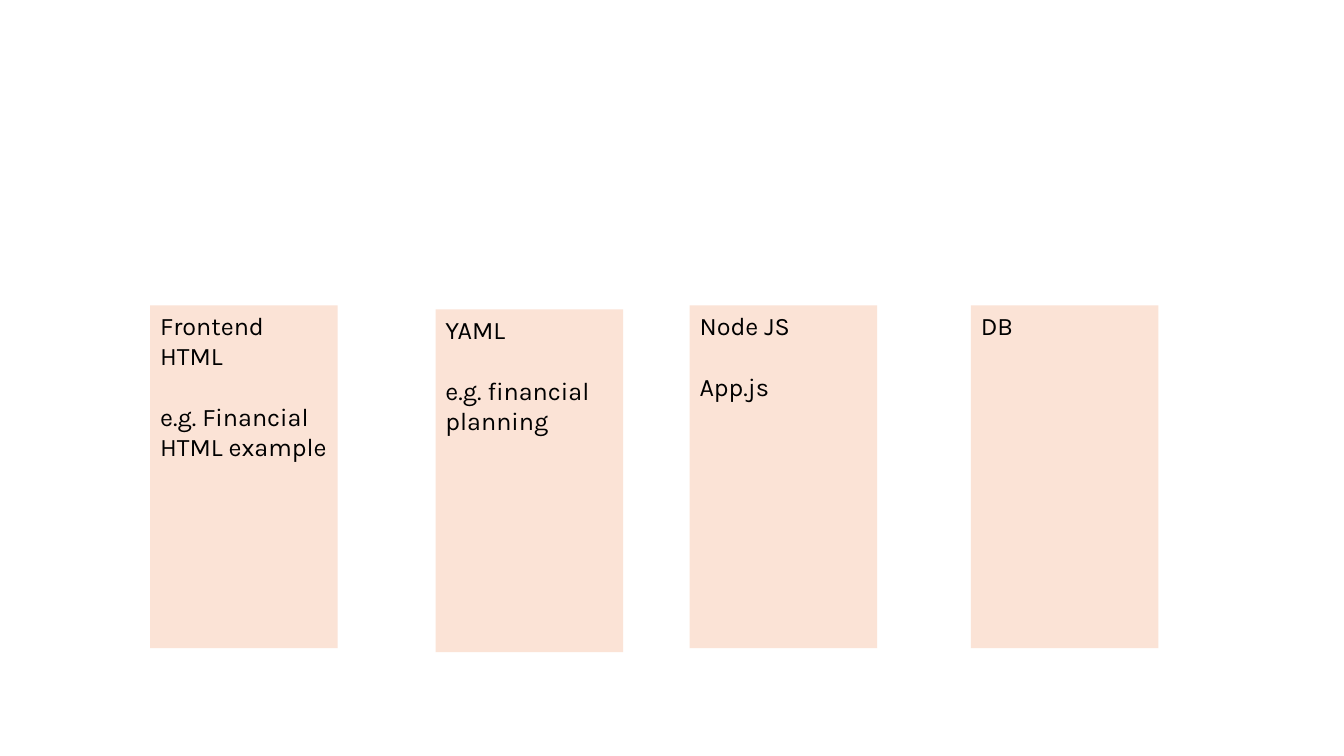
import pptx
import pptx.dml.color
import pptx.enum.shapes
import pptx.enum.text
import pptx.util

PX = 9144  # EMU per px, 100 px to the inch
COLORS = {"box": "FBE3D6", "text": "000000"}
FONT = {"name": "Karla", "size": pptx.util.Pt(18)}
FRAME = {"word_wrap": True, "vertical_anchor": pptx.enum.text.MSO_ANCHOR.TOP}
BOX_W, BOX_H = 186, 340
PARAGRAPH_GAP = pptx.util.Pt(21.6)  # one text line

# Left, top, paragraphs of each layer
LAYERS = [
    (149, 303, ["Frontend HTML", "e.g. Financial HTML example"]),
    (432, 307, ["YAML", "e.g. financial planning"]),
    (684, 303, ["Node JS", "App.js"]),
    (963, 303, ["DB"]),
]


def rgb(name):
    return pptx.dml.color.RGBColor.from_string(COLORS[name])


# Slide
prs = pptx.Presentation()
prs.slide_width, prs.slide_height = 1333 * PX, 750 * PX
s = prs.slides.add_slide(prs.slide_layouts[6])

# Layer boxes
for left, top, lines in LAYERS:
    sp = s.shapes.add_shape(pptx.enum.shapes.MSO_SHAPE.RECTANGLE,
                            left * PX, top * PX, BOX_W * PX, BOX_H * PX)
    sp.shadow.inherit = False
    sp.fill.solid()
    sp.fill.fore_color.rgb = rgb("box")
    sp.line.fill.background()

    # Text
    tf = sp.text_frame
    for key, value in FRAME.items():
        setattr(tf, key, value)
    for i, line in enumerate(lines):
        p = tf.add_paragraph() if i else tf.paragraphs[0]
        p.alignment = pptx.enum.text.PP_ALIGN.LEFT
        p.space_before = PARAGRAPH_GAP if i else 0
        r = p.add_run()
        r.text = line
        for key, value in FONT.items():
            setattr(r.font, key, value)
        r.font.color.rgb = rgb("text")

prs.save("out.pptx")
